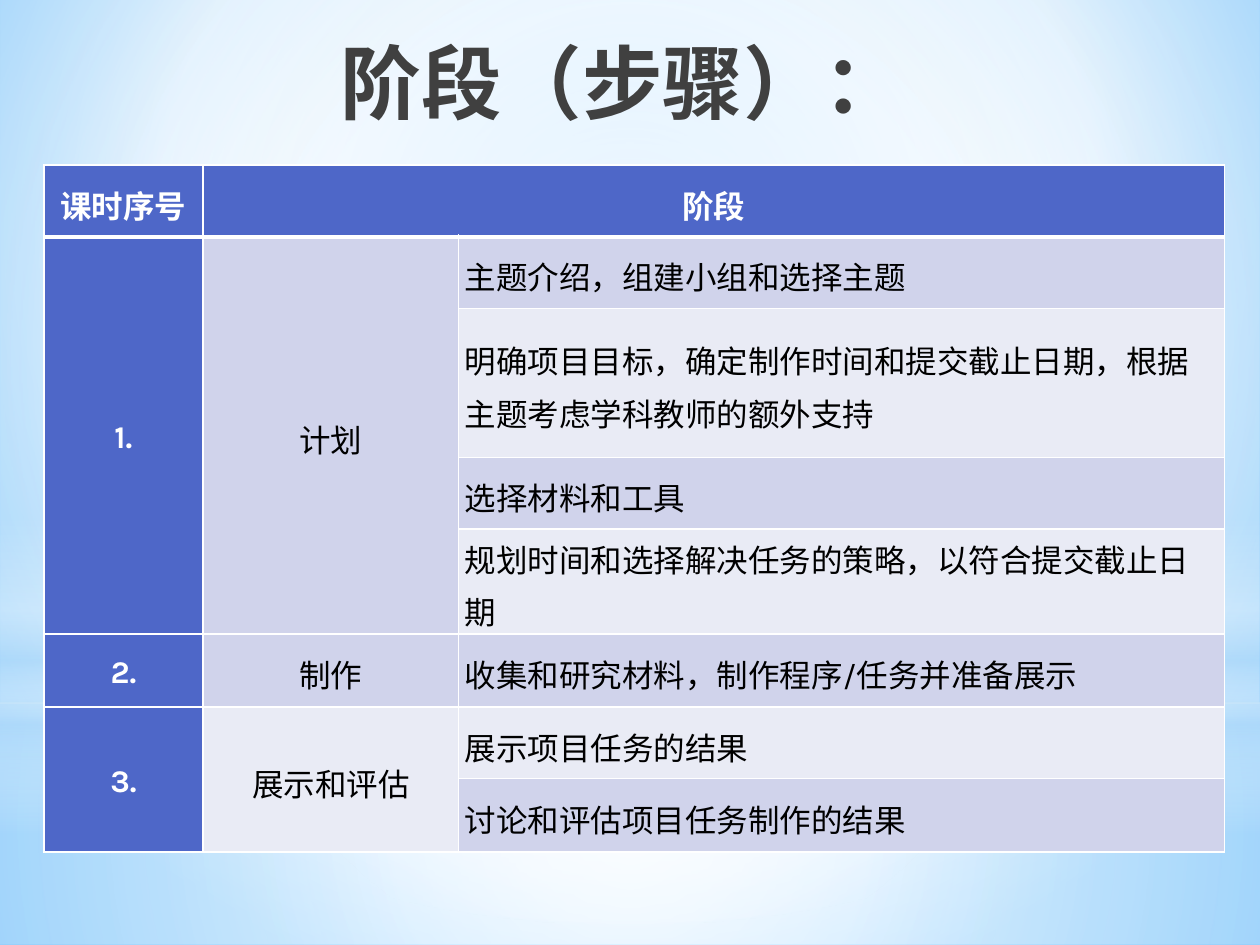
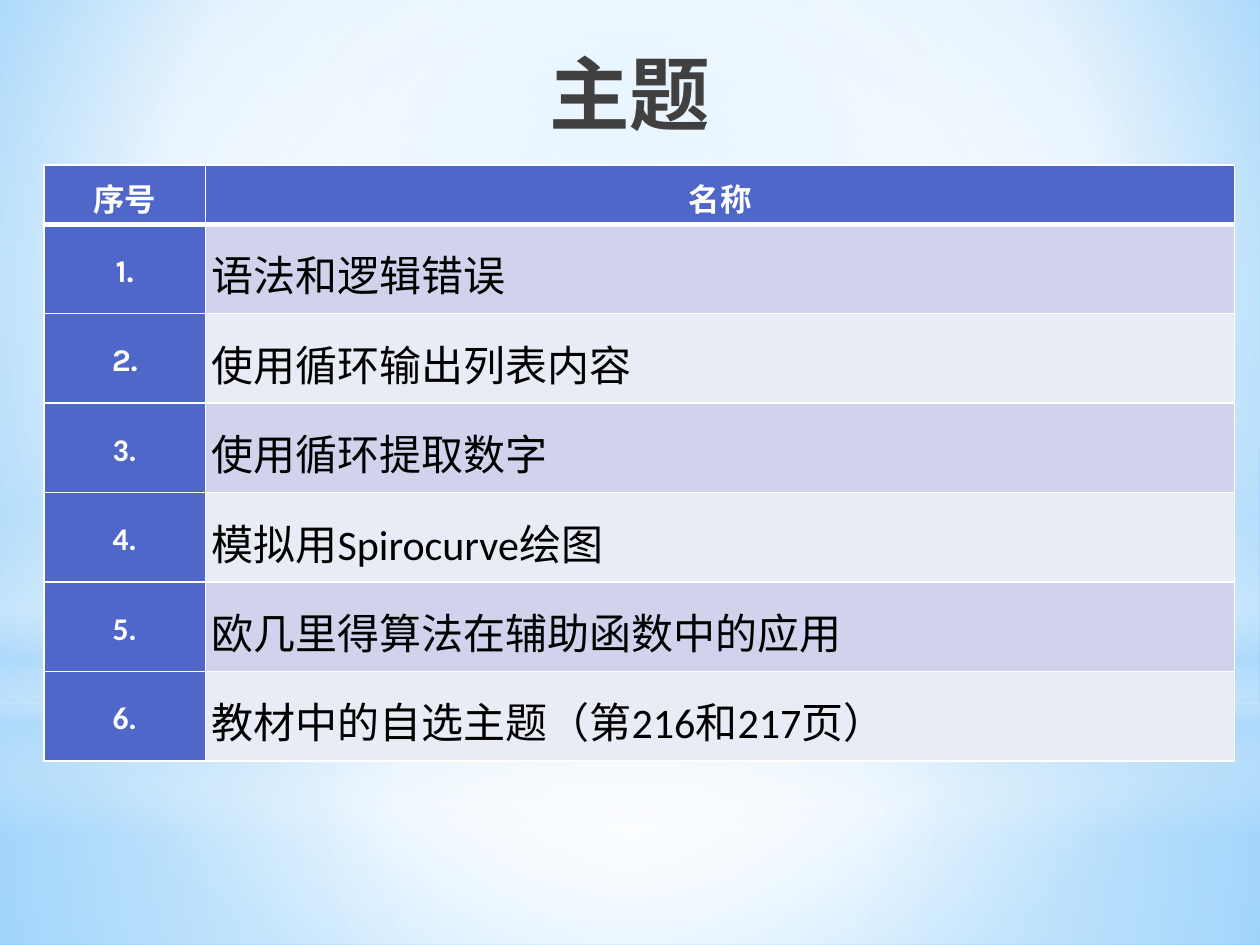
import lxml.etree
import pptx
import pptx.dml.color
import pptx.enum.shapes
import pptx.enum.text
import pptx.oxml
import pptx.oxml.ns
import pptx.util

Inches = pptx.util.Inches
Pt = pptx.util.Pt
RGBColor = pptx.dml.color.RGBColor
MSO_SHAPE = pptx.enum.shapes.MSO_SHAPE
PP_ALIGN = pptx.enum.text.PP_ALIGN
MSO_ANCHOR = pptx.enum.text.MSO_ANCHOR
qn = pptx.oxml.ns.qn

BLACK = RGBColor(0x00, 0x00, 0x00)
WHITE = RGBColor(0xFF, 0xFF, 0xFF)
CHARCOAL = RGBColor(0x40, 0x40, 0x40)
NAVY = RGBColor(0x21, 0x27, 0x45)
HEADER_BLUE = RGBColor(0x4E, 0x67, 0xC8)
BAND_DARK = RGBColor(0xD0, 0xD3, 0xEB)
BAND_LIGHT = RGBColor(0xE9, 0xEB, 0xF5)
SKY = RGBColor(0x9E, 0xD5, 0xFF)
DEEP_SKY = RGBColor(0x5B, 0xB9, 0xFF)
PALE_SKY = RGBColor(0xB4, 0xDC, 0xFA)

CENTER_FOCUS = (50, 50, 50, 50)
BACKGROUND_STOPS = [(0, SKY, 100), (60, WHITE, 100), (100, DEEP_SKY, 100)]
TITLE_STOPS = [(0, BLACK, 100), (40, CHARCOAL, 100), (100, NAVY, 65)]
GLOWS = [
    (MSO_SHAPE.RECTANGLE, (0, 5.58, 10, 1.92),
     [(0, WHITE, 91), (37, WHITE, 76), (100, PALE_SKY, 79)], CENTER_FOCUS),
    (MSO_SHAPE.RECTANGLE, (0, 0, 10, 5.58),
     [(0, WHITE, 89), (48, WHITE, 62), (100, PALE_SKY, 79)], CENTER_FOCUS),
    (MSO_SHAPE.RECTANGLE, (0, 4.12, 10, 2.5),
     [(0, WHITE, 0), (29, WHITE, 30), (45, PALE_SKY, 40),
      (55, WHITE, 26), (65, PALE_SKY, 60), (100, WHITE, 0)], None),
    (MSO_SHAPE.OVAL, (0, 1.75, 10, 5.58),
     [(0, WHITE, 100), (56, WHITE, 0)], CENTER_FOCUS),
]

HEAD = {"size": Pt(18), "name": "Karla", "bold": True}
HEAD_CALIBRI = {**HEAD, "name": "Calibri"}
STAGE = {"size": Pt(18), "name": "Karla", "bold": False}
TOPIC = {"size": Pt(24), "name": "Calibri", "bold": False}

STAGES = [
    ("1.", "计划", [
        "主题介绍，组建小组和选择主题",
        "明确项目目标，确定制作时间和提交截止日期，根据主题考虑学科教师的额外支持",
        "选择材料和工具",
        "规划时间和选择解决任务的策略，以符合提交截止日期",
    ]),
    ("2.", "制作", ["收集和研究材料，制作程序/任务并准备展示"]),
    ("3.", "展示和评估", ["展示项目任务的结果", "讨论和评估项目任务制作的结果"]),
]
TOPICS = [
    "语法和逻辑错误",
    "使用循环输出列表内容",
    "使用循环提取数字",
    "模拟用Spirocurve绘图",
    "欧几里得算法在辅助函数中的应用",
    "教材中的自选主题（第216和217页）",
]


def set_gradient(parent, stops, focus=None):
    solid = parent.find(qn("a:solidFill"))
    grad = pptx.oxml.parse_xml(
        f'<a:gradFill {pptx.oxml.ns.nsdecls("a")} rotWithShape="1"/>')
    gs_lst = lxml.etree.SubElement(grad, qn("a:gsLst"))
    for position, color, alpha in stops:
        gs = lxml.etree.SubElement(gs_lst, qn("a:gs"), pos=str(position * 1000))
        clr = lxml.etree.SubElement(gs, qn("a:srgbClr"), val=str(color))
        if alpha < 100:
            lxml.etree.SubElement(clr, qn("a:alpha"), val=str(alpha * 1000))
    if focus:
        circle = lxml.etree.SubElement(grad, qn("a:path"), {"path": "circle"})
        sides = {k: str(v * 1000) for k, v in zip("ltrb", focus)}
        lxml.etree.SubElement(circle, qn("a:fillToRect"), sides)
    else:
        lxml.etree.SubElement(grad, qn("a:lin"), ang="5400000", scaled="0")
    parent.replace(solid, grad)


def decorate_master(prs, s):
    master = prs.slide_master
    master.background.fill.solid()
    master.background.fill.fore_color.rgb = WHITE
    bg = master.element.find(".//" + qn("p:bgPr"))
    set_gradient(bg, BACKGROUND_STOPS, (20, 10, 20, 60))
    tree = master.shapes.element
    for i, (kind, box, stops, focus) in enumerate(GLOWS):
        sp = s.shapes.add_shape(kind, *map(Inches, box))
        sp.shadow.inherit = False
        sp.line.fill.background()
        sp.fill.solid()
        sp.fill.fore_color.rgb = WHITE
        set_gradient(sp.element.spPr, stops, focus)
        sp.element.nvSpPr.cNvPr.set("id", str(100 + i))
        tree.insert(2 + i, sp.element)


def set_format(target, values):
    for name, value in values.items():
        setattr(target, name, value)


def add_title_slide(prs, text, box):
    s = prs.slides.add_slide(prs.slide_layouts[5])
    title = s.shapes.title
    set_format(title, dict(zip(("left", "top", "width", "height"), map(Inches, box))))
    tf = title.text_frame
    set_format(tf, {"word_wrap": True, "vertical_anchor": MSO_ANCHOR.TOP,
                    "auto_size": pptx.enum.text.MSO_AUTO_SIZE.NONE})
    p = tf.paragraphs[0]
    p.alignment = PP_ALIGN.CENTER
    r = p.add_run()
    r.text = text
    set_format(r.font, {"size": Pt(46), "name": "Karla", "bold": True})
    r.font.fill.solid()
    r.font.fill.fore_color.rgb = CHARCOAL
    set_gradient(r.font.fill._xPr, TITLE_STOPS)
    return s


def set_borders(cell, widths):
    tc_pr = cell._tc.get_or_add_tcPr()
    for i, (side, width) in enumerate(zip("LRTB", widths)):
        ln = pptx.oxml.parse_xml(
            f'<a:ln{side} {pptx.oxml.ns.nsdecls("a")} w="{Pt(width)}">'
            f'<a:solidFill><a:srgbClr val="{WHITE}"/></a:solidFill></a:ln{side}>')
        tc_pr.insert(i, ln)


def add_grid(s, columns, heights):
    frame = s.shapes.add_table(len(heights), len(columns), Inches(0.35), Inches(1.31),
                               Inches(sum(columns)), Inches(sum(heights)))
    table = frame.table
    table.horz_banding = False
    for column, width in zip(table.columns, columns):
        column.width = Inches(width)
    for row, height in zip(table.rows, heights):
        row.height = Inches(height)
    for r in range(len(heights)):
        for c in range(len(columns)):
            cell = table.cell(r, c)
            set_format(cell, {"margin_left": Inches(0.05), "margin_right": Inches(0.05),
                              "margin_top": 0, "margin_bottom": 0,
                              "vertical_anchor": MSO_ANCHOR.MIDDLE})
            band = BAND_DARK if r % 2 else BAND_LIGHT
            cell.fill.solid()
            cell.fill.fore_color.rgb = HEADER_BLUE if r == 0 or c == 0 else band
            set_borders(cell, (1, 1, 3 if r == 1 else 1, 3 if r == 0 else 1))
    return table


def write_cell(cell, text, font, color=BLACK, align=PP_ALIGN.CENTER):
    p = cell.text_frame.paragraphs[0]
    set_format(p, {"alignment": align, "line_spacing": 1.15})
    r = p.add_run()
    r.text = text
    set_format(r.font, font)
    r.font.color.rgb = color


def add_stage_table(s):
    table = add_grid(s, [1.26, 2.03, 6.08],
                     [0.57, 0.57, 1.18, 0.57, 0.58, 0.58, 0.57, 0.58])
    table.cell(0, 1).merge(table.cell(0, 2))
    write_cell(table.cell(0, 0), "课时序号", HEAD, WHITE)
    write_cell(table.cell(0, 1), "阶段", HEAD, WHITE)
    top = 1
    for number, stage, steps in STAGES:
        bottom = top + len(steps) - 1
        if bottom > top:
            for c in (0, 1):
                table.cell(top, c).merge(table.cell(bottom, c))
        write_cell(table.cell(top, 0), number, HEAD, WHITE)
        write_cell(table.cell(top, 1), stage, STAGE)
        for r, step in enumerate(steps, top):
            write_cell(table.cell(r, 2), step, STAGE, align=PP_ALIGN.LEFT)
        top = bottom + 1


def add_topic_table(s):
    table = add_grid(s, [1.28, 8.17], [0.47] + [0.71] * len(TOPICS))
    write_cell(table.cell(0, 0), "序号", HEAD, WHITE)
    write_cell(table.cell(0, 1), "名称", HEAD, WHITE)
    for r, topic in enumerate(TOPICS, 1):
        write_cell(table.cell(r, 0), f"{r}.", HEAD if r < 3 else HEAD_CALIBRI, WHITE)
        write_cell(table.cell(r, 1), topic, TOPIC, align=PP_ALIGN.LEFT)


def main():
    prs = pptx.Presentation()
    prs.slide_width, prs.slide_height = Inches(10), Inches(7.5)
    s = add_title_slide(prs, "阶段（步骤）：", (1.38, 0.21, 7.12, 1.25))
    decorate_master(prs, s)
    add_stage_table(s)
    s = add_title_slide(prs, "主题", (0.5, 0.3, 9, 0.87))
    add_topic_table(s)
    prs.save("out.pptx")


if __name__ == "__main__":
    main()
